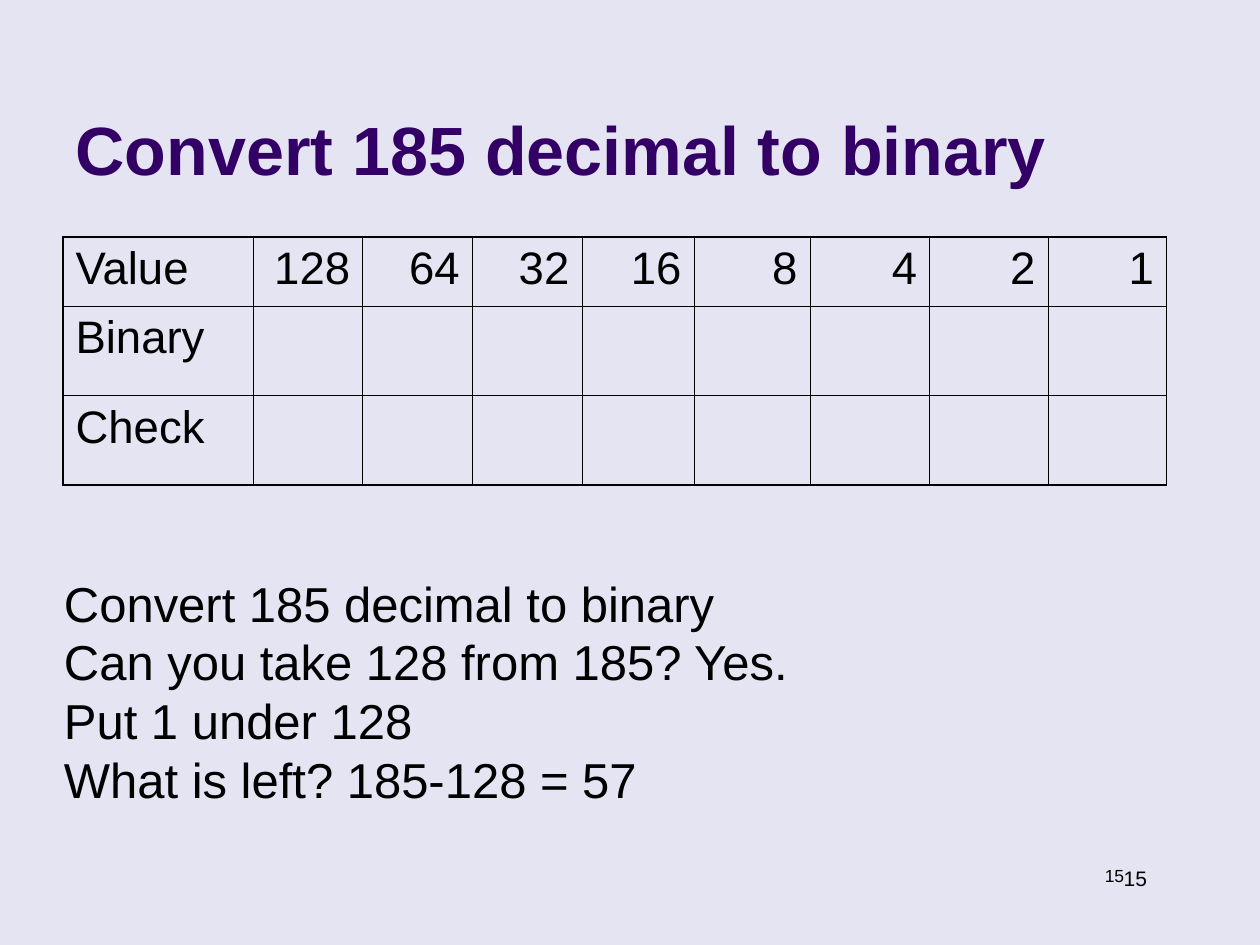
from pptx import Presentation
from pptx.dml.color import RGBColor as RGB
from pptx.enum.text import MSO_ANCHOR as Anchor, MSO_AUTO_SIZE as Fit, PP_ALIGN as Align
from pptx.oxml.ns import qn
from pptx.util import Inches, Pt
from lxml.etree import SubElement as Sub

# Content
TITLE = "Convert 185 decimal to binary"
BITS = [2 ** n for n in range(7, -1, -1)]
ROWS = [["Value", *BITS], ["Binary"] + [""] * 8, ["Check"] + [""] * 8]
STEPS = [
    "Convert 185 decimal to binary",
    "Can you take 128 from 185? Yes.",
    "Put 1 under 128",
    "What is left? 185-128 = 57",
]
PAGE = "15"

# Places
COLS = [1.51, 0.87, 0.87, 0.87, 0.89, 0.92, 0.95, 0.94, 0.94]
HIGH = [0.55, 0.71, 0.71]


class Theme:
    font = "Arial"
    back, ink, head = (RGB.from_string(c) for c in ("E4E4F2", "000000", "330066"))
    title, cell, body, page, small = 39, 26, 28, 12, 10
    thin, thick = 0.45, 1.08


def style(frame, size, color=Theme.ink, bold=False, align=Align.LEFT):
    for para in frame.paragraphs:
        para.alignment = align
        for run in para.runs:
            font = run.font
            font.name, font.size, font.bold = Theme.font, Pt(size), bold
            font.color.rgb = color


def add_text(slide, box, text, size, align=Align.LEFT):
    frame = slide.shapes.add_textbox(*map(Inches, box)).text_frame
    frame.word_wrap = True
    frame.text = text
    style(frame, size, align=align)


def set_edges(cell, widths):
    props = cell._tc.get_or_add_tcPr()
    for at, (side, width) in enumerate(widths.items()):
        line = props.makeelement(qn("a:ln" + side), {"w": str(Pt(width))})
        fill = Sub(line, qn("a:solidFill"))
        Sub(fill, qn("a:srgbClr"), val=str(Theme.ink))
        props.insert(at, line)


def add_grid(slide):
    table = slide.shapes.add_table(
        len(ROWS), len(COLS), Inches(0.5), Inches(1.88),
        Inches(sum(COLS)), Inches(sum(HIGH))).table
    table.first_row = table.horz_banding = False
    for col, width in zip(table.columns, COLS):
        col.width = Inches(width)
    for row, height in zip(table.rows, HIGH):
        row.height = Inches(height)
    for r, row in enumerate(ROWS):
        for c, text in enumerate(row):
            cell = table.cell(r, c)
            cell.text = str(text)
            style(cell.text_frame, Theme.cell, align=Align.RIGHT if c else Align.LEFT)
            cell.fill.background()
            # Outer edges are thick, inner ones thin
            outer = {"L": c == 0, "R": c == len(COLS) - 1,
                     "T": r == 0, "B": r == len(ROWS) - 1}
            set_edges(cell, {side: Theme.thick if out else Theme.thin
                             for side, out in outer.items()})


def main():
    deck = Presentation()
    deck.slide_width, deck.slide_height = Inches(10), Inches(7.5)
    slide = deck.slides.add_slide(deck.slide_layouts[5])
    slide.background.fill.solid()
    slide.background.fill.fore_color.rgb = Theme.back

    # Page numbers
    add_text(slide, (6.97, 6.82, 2.05, 0.27), PAGE, Theme.small, Align.RIGHT)
    add_text(slide, (8.82, 6.82, 0.96, 0.3), PAGE, Theme.page)

    # Title
    title = slide.shapes.title
    title.left, title.top, title.width, title.height = map(Inches, (0.5, 0.13, 8.25, 1.42))
    frame = title.text_frame
    frame.text = TITLE
    frame.auto_size, frame.vertical_anchor = Fit.NONE, Anchor.BOTTOM
    style(frame, Theme.title, Theme.head, bold=True)

    # Place value table and steps
    add_grid(slide)
    add_text(slide, (0.41, 4.5, 6, 1.97), "\n".join(STEPS), Theme.body)
    deck.save("out.pptx")


if __name__ == "__main__":
    main()
